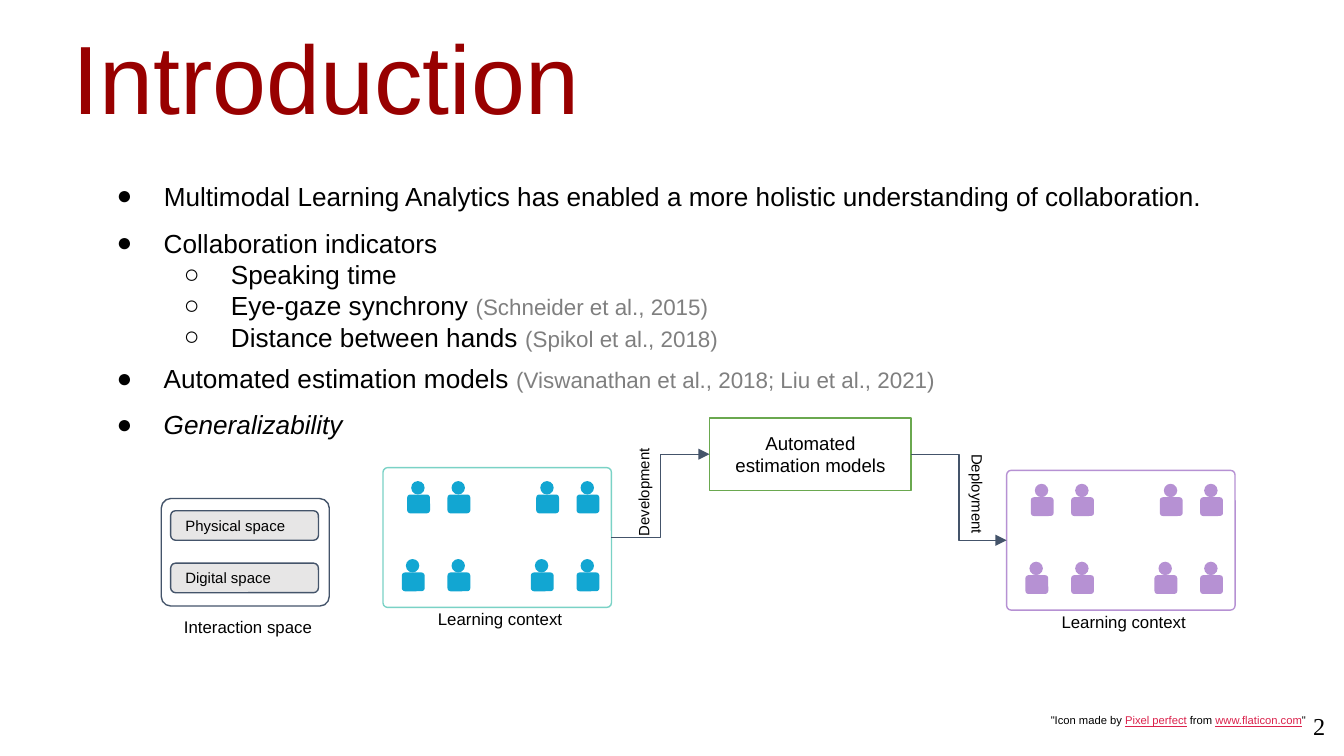
from lxml.etree import SubElement
from pptx import Presentation
from pptx.dml.color import RGBColor
from pptx.enum.shapes import MSO_CONNECTOR, MSO_SHAPE
from pptx.enum.text import MSO_ANCHOR, MSO_AUTO_SIZE, PP_ALIGN
from pptx.oxml.ns import qn
from pptx.util import Inches, Pt

BLACK, GRAY, SLATE, LINK = "000000", "7F7F7F", "44546A", "DB224C"
CYAN, TEAL, PURPLE, GREEN = "12A6D2", "7AD2C6", "B691D3", "6AA84F"


def color(value):
    """Turn a hex string into a colour."""
    return RGBColor.from_string(value)


def add_span(para, text, size=14, font="Arial", fill=BLACK, italic=False, underline=False):
    """Append one formatted run to a paragraph."""
    span = para.add_run()
    span.text = text
    span.font.size = Pt(size)
    span.font.name = font
    span.font.color.rgb = color(fill)
    span.font.italic = italic
    span.font.underline = underline


def set_frame(frame, inset=0.1, anchor=MSO_ANCHOR.TOP, wrap=True):
    """Set the insets, anchor and wrapping of a text frame."""
    frame.margin_left = frame.margin_right = Inches(0.1)
    frame.margin_top = frame.margin_bottom = Inches(inset)
    frame.vertical_anchor = anchor
    frame.auto_size = MSO_AUTO_SIZE.NONE
    frame.word_wrap = wrap


def add_text(page, box, text, align=PP_ALIGN.LEFT, rotation=0, wrap=True, **style):
    """Place a text box with one line of text and return its paragraph."""
    shape = page.shapes.add_textbox(*map(Inches, box))
    shape.rotation = rotation
    set_frame(shape.text_frame, wrap=wrap)
    para = shape.text_frame.paragraphs[0]
    para.alignment = align
    add_span(para, text, **style)
    return para


def add_shape(shapes, kind, box, fill=None, line=None, adjust=None):
    """Draw a preset shape with an optional fill and outline."""
    shape = shapes.add_shape(kind, *map(Inches, box))
    shape.shadow.inherit = False
    if adjust is not None:
        shape.adjustments[0] = adjust
    if fill:
        shape.fill.solid()
        shape.fill.fore_color.rgb = color(fill)
    else:
        shape.fill.background()
    if line:
        shape.line.color.rgb = color(line)
        shape.line.width = Pt(0.75)
    else:
        shape.line.fill.background()
    return shape


def add_label(shape, text, size, align, anchor):
    """Write a label inside a shape."""
    set_frame(shape.text_frame, anchor=anchor)
    para = shape.text_frame.paragraphs[0]
    para.alignment = align
    add_span(para, text, size=size)


def add_bullet(para, level):
    """Give a paragraph the bullet and indent of its level."""
    para.level = level
    properties = para._p.get_or_add_pPr()
    properties.set("marL", str(Inches(0.5 + 0.5 * level)))
    properties.set("indent", str(Inches(-0.35)))
    tint = SubElement(properties, qn("a:buClr"))
    SubElement(tint, qn("a:srgbClr")).set("val", BLACK)
    SubElement(properties, qn("a:buSzPts")).set("val", "1400")
    SubElement(properties, qn("a:buFont")).set("typeface", "Arial")
    SubElement(properties, qn("a:buChar")).set("char", "●○"[level])


def add_title(page, box, text):
    """Move and format the title placeholder."""
    title = page.shapes.title
    title.left, title.top, title.width, title.height = map(Inches, box)
    set_frame(title.text_frame, inset=0.05, anchor=MSO_ANCHOR.MIDDLE)
    para = title.text_frame.paragraphs[0]
    para.alignment = PP_ALIGN.LEFT
    para.line_spacing = 0.53
    add_span(para, text, size=52, fill="980000")


def add_bullets(page, box, items):
    """Place a bulleted list of (level, text, citation, italic) items."""
    frame = page.shapes.add_textbox(*map(Inches, box)).text_frame
    set_frame(frame)
    for index, (level, text, citation, italic) in enumerate(items):
        para = frame.add_paragraph() if index else frame.paragraphs[0]
        add_bullet(para, level)
        add_span(para, text, italic=italic)
        if citation:
            add_span(para, citation, size=12, fill=GRAY)


def add_person(page, left, top, fill):
    """Draw a person as a grouped head and body."""
    person = page.shapes.add_group_shape().shapes
    add_shape(person, MSO_SHAPE.OVAL, (left + 0.03, top, 0.1, 0.1), fill)
    add_shape(person, MSO_SHAPE.ROUNDED_RECTANGLE, (left, top + 0.1, 0.17, 0.14), fill, adjust=0.167)


def add_learning_context(page, box, fill, line):
    """Draw a captioned room with two groups of four people."""
    left, top, width, height = box
    for group in (0, 0.96):
        for across, down in ((0.18, 0.1), (0.48, 0.1), (0.14, 0.68), (0.48, 0.68)):
            add_person(page, left + group + across, top + down, fill)
    add_shape(page.shapes, MSO_SHAPE.ROUNDED_RECTANGLE, box, line=line, adjust=0.033)
    add_text(page, (left + 0.31, top + height - 0.09, 1.25, 0.35), "Learning context", size=9)


def add_interaction_space(page, box):
    """Draw the captioned interaction space with its two parts."""
    left, top, width, height = box
    for row, text in enumerate(("Physical space", "Digital space")):
        part = add_shape(page.shapes, MSO_SHAPE.ROUNDED_RECTANGLE,
                         (left + 0.07, top + 0.09 + 0.39 * row, 1.1, 0.22),
                         "E7E6E6", SLATE, 0.167)
        add_label(part, text, 8, PP_ALIGN.LEFT, MSO_ANCHOR.MIDDLE)
    add_shape(page.shapes, MSO_SHAPE.ROUNDED_RECTANGLE, box, line=SLATE, adjust=0.089)
    add_text(page, (left + 0.07, top + height - 0.02, 1.18, 0.35), "Interaction space", size=9)


def add_models(page, box):
    """Draw the box of estimation models."""
    models = add_shape(page.shapes, MSO_SHAPE.RECTANGLE, box, line=GREEN)
    add_label(models, "Automated estimation models", 10, PP_ALIGN.CENTER, MSO_ANCHOR.TOP)


def add_arrow(page, start, end):
    """Draw an elbow arrow between two points."""
    arrow = page.shapes.add_connector(MSO_CONNECTOR.ELBOW, *map(Inches, start + end))
    arrow.line.color.rgb = color(SLATE)
    arrow.line.width = Pt(0.75)
    SubElement(arrow.line._get_or_add_ln(), qn("a:tailEnd")).set("type", "triangle")
    SubElement(arrow._element.spPr, qn("a:effectLst"))


def add_credit(page, box):
    """Write the icon credit."""
    para = add_text(page, box, '"Icon made by ', wrap=False, size=6)
    add_span(para, "Pixel perfect", size=6, fill=LINK, underline=True)
    add_span(para, " from ", size=6)
    add_span(para, "www.flaticon.com", size=6, fill=LINK, underline=True)
    add_span(para, '"', size=6)


def main():
    """Build the slide and save the deck."""
    deck = Presentation()
    deck.slide_width = Inches(10)
    deck.slide_height = deck.slide_width * 9 // 16
    page = deck.slides.add_slide(deck.slide_layouts[5])
    add_title(page, (0.44, 0.22, 9.56, 0.99), "Introduction")
    add_text(page, (9.36, 5.19, 0.6, 0.43), "2", align=PP_ALIGN.RIGHT, size=13, font="Times New Roman")

    add_bullets(page, (0.62, 1.24, 8.95, 0.44), [
        (0, "Multimodal Learning Analytics has enabled a more holistic understanding of collaboration.", "", False)])
    add_bullets(page, (0.62, 1.59, 8.07, 1.14), [
        (0, "Collaboration indicators", "", False),
        (1, "Speaking time", "", False),
        (1, "Eye-gaze synchrony ", "(Schneider et al., 2015)", False),
        (1, "Distance between hands ", "(Spikol et al., 2018)", False)])
    add_bullets(page, (0.62, 2.6, 8.07, 0.44), [
        (0, "Automated estimation models ", "(Viswanathan et al., 2018; Liu et al., 2021)", False)])
    add_bullets(page, (0.62, 2.94, 8.07, 0.44), [(0, "Generalizability", "", True)])

    add_interaction_space(page, (1.2, 3.71, 1.25, 0.8))
    add_learning_context(page, (2.85, 3.48, 1.7, 1.04), CYAN, TEAL)
    add_models(page, (5.28, 3.11, 1.5, 0.54))
    add_learning_context(page, (7.49, 3.5, 1.7, 1.04), PURPLE, PURPLE)
    add_arrow(page, (4.55, 4), (5.28, 3.38))
    add_arrow(page, (6.78, 3.38), (7.49, 4.02))
    add_text(page, (4, 3.13, 1.58, 0.34), "Development", rotation=270, size=8)
    add_text(page, (6.48, 3.9, 1.58, 0.34), "Deployment", rotation=90, size=8)
    add_credit(page, (7.72, 5.21, 2.2, 0.3))
    deck.save("out.pptx")


if __name__ == "__main__":
    main()
